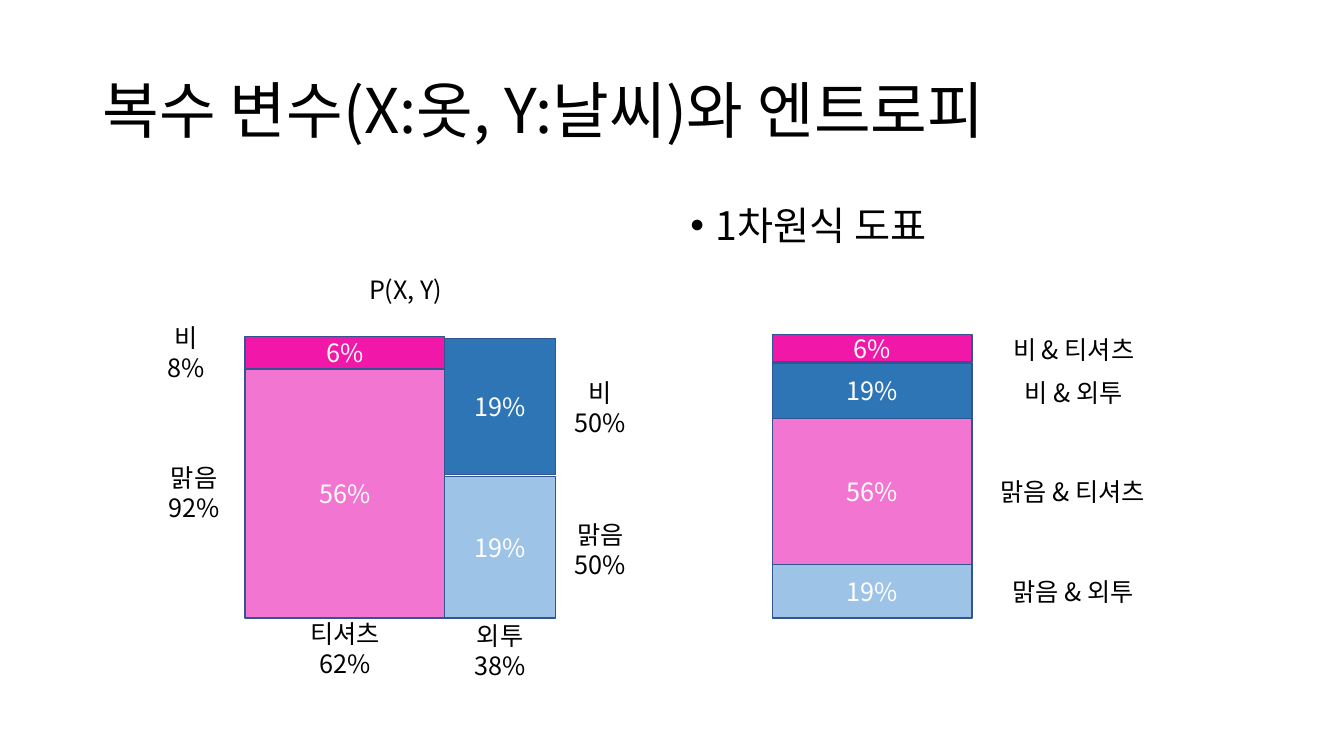
"""Build a slide showing joint clothing and weather probabilities."""
from dataclasses import dataclass

from lxml import etree
from pptx import Presentation
from pptx.dml.color import RGBColor
from pptx.enum.shapes import MSO_SHAPE
from pptx.enum.text import MSO_ANCHOR, PP_ALIGN
from pptx.oxml.ns import qn
from pptx.util import Pt

PX = 9144
FONT = "Noto Sans CJK KR"
BLACK = RGBColor(0x00, 0x00, 0x00)
WHITE = RGBColor(0xFF, 0xFF, 0xFF)
OUTLINE = RGBColor(0x32, 0x54, 0x91)
PINK = RGBColor(0xF1, 0x75, 0xD1)
MAGENTA = RGBColor(0xF1, 0x17, 0xA8)
LIGHT_BLUE = RGBColor(0x9D, 0xC3, 0xE6)
BLUE = RGBColor(0x2E, 0x75, 0xB6)
RECTANGLE = MSO_SHAPE.RECTANGLE
TOP, MIDDLE = MSO_ANCHOR.TOP, MSO_ANCHOR.MIDDLE
LEFT, CENTER = PP_ALIGN.LEFT, PP_ALIGN.CENTER

LABEL_FORMAT = {"alignment": CENTER}
TITLE_FORMAT = {"alignment": LEFT, "line_spacing": 0.9}
BULLET_FORMAT = {**TITLE_FORMAT, "space_before": Pt(10)}


@dataclass(frozen=True)
class Box:
    """A place on the slide in px."""
    left: int
    top: int
    width: int
    height: int

    def emu(self) -> tuple[int, ...]:
        """Return the place in EMU."""
        return tuple(PX * value for value in
                     (self.left, self.top, self.width, self.height))


@dataclass(frozen=True)
class Label:
    """Text lines with their place and format."""
    box: Box
    lines: tuple[str, ...]
    size: int = 18
    anchor: MSO_ANCHOR = MIDDLE


@dataclass(frozen=True)
class Cell:
    """A coloured share of the probability."""
    box: Box
    text: str
    color: RGBColor


TITLE = Label(Box(92, 40, 1150, 145), ("복수 변수(X:옷, Y:날씨)와 엔트로피",), 44)
BULLET = Label(Box(675, 200, 567, 476), ("1차원식 도표",), 28, TOP)

SQUARE_LABELS = (
    Label(Box(140, 318, 89, 64), ("비", "8%")),
    Label(Box(148, 364, 89, 249), ("맑음", "92%")),
    Label(Box(243, 615, 198, 56), ("티셔츠", "62%")),
    Label(Box(441, 615, 110, 61), ("외투", "38%")),
    Label(Box(322, 267, 161, 40), ("P(X, Y)",), anchor=TOP),
    Label(Box(551, 337, 89, 134), ("비", "50%")),
    Label(Box(551, 475, 89, 140), ("맑음", "50%")),
)
SQUARE_CELLS = (
    Cell(Box(243, 366, 198, 247), "56%", PINK),
    Cell(Box(243, 334, 198, 32), "6%", MAGENTA),
    Cell(Box(441, 473, 110, 140), "19%", LIGHT_BLUE),
    Cell(Box(441, 336, 110, 135), "19%", BLUE),
)
STACK_CELLS = (
    Cell(Box(766, 415, 198, 145), "56%", PINK),
    Cell(Box(766, 332, 198, 27), "6%", MAGENTA),
    Cell(Box(766, 560, 198, 53), "19%", LIGHT_BLUE),
    Cell(Box(766, 360, 198, 55), "19%", BLUE),
)
STACK_LABELS = (
    Label(Box(965, 561, 198, 52), ("맑음 & 외투",)),
    Label(Box(965, 415, 198, 145), ("맑음 & 티셔츠",)),
    Label(Box(966, 363, 198, 52), ("비 & 외투",)),
    Label(Box(966, 332, 198, 29), ("비 & 티셔츠",)),
)


def write_lines(shape, label: Label, color: RGBColor, formats: dict) -> None:
    """Write the label's lines as paragraphs of the shape."""
    frame = shape.text_frame
    frame.word_wrap = True
    frame.vertical_anchor = label.anchor
    frame.text = "\n".join(label.lines)
    for paragraph in frame.paragraphs:
        for name, value in formats.items():
            setattr(paragraph, name, value)
        for run in paragraph.runs:
            run.font.size = Pt(label.size)
            run.font.color.rgb = color
            run.font.name = FONT
            east_asian = etree.SubElement(run.font._element, qn("a:ea"))
            east_asian.set("typeface", FONT)


def draw_label(shapes, label: Label, formats: dict):
    """Draw a text box and return it."""
    shape = shapes.add_textbox(*label.box.emu())
    write_lines(shape, label, BLACK, formats)
    return shape


def draw_cell(shapes, cell: Cell) -> None:
    """Draw a filled rectangle with its percentage."""
    shape = shapes.add_shape(RECTANGLE, *cell.box.emu())
    shape.shadow.inherit = False
    shape.fill.solid()
    shape.fill.fore_color.rgb = cell.color
    shape.line.color.rgb = OUTLINE
    shape.line.width = Pt(1)
    write_lines(shape, Label(cell.box, (cell.text,)), WHITE, LABEL_FORMAT)


def add_bullet(paragraph, indent: int) -> None:
    """Give the paragraph a hanging bullet."""
    properties = paragraph._p.get_or_add_pPr()
    properties.set("marL", str(PX * indent))
    properties.set("indent", str(-PX * indent))
    etree.SubElement(properties, qn("a:buFont")).set("typeface", "Arial")
    etree.SubElement(properties, qn("a:buChar")).set("char", "•")


def main() -> None:
    """Build and save the presentation."""
    presentation = Presentation()
    presentation.slide_width = PX * 1333
    presentation.slide_height = PX * 750
    slide = presentation.slides.add_slide(presentation.slide_layouts[6])
    shapes = slide.shapes

    draw_label(shapes, TITLE, TITLE_FORMAT)
    bullet = draw_label(shapes, BULLET, BULLET_FORMAT)
    add_bullet(bullet.text_frame.paragraphs[0], 25)

    for label in SQUARE_LABELS:
        draw_label(shapes, label, LABEL_FORMAT)
    for cell in SQUARE_CELLS:
        draw_cell(shapes, cell)
    stack = shapes.add_group_shape()
    for cell in STACK_CELLS:
        draw_cell(stack.shapes, cell)
    for label in STACK_LABELS:
        draw_label(shapes, label, LABEL_FORMAT)

    presentation.save("out.pptx")


if __name__ == "__main__":
    main()
